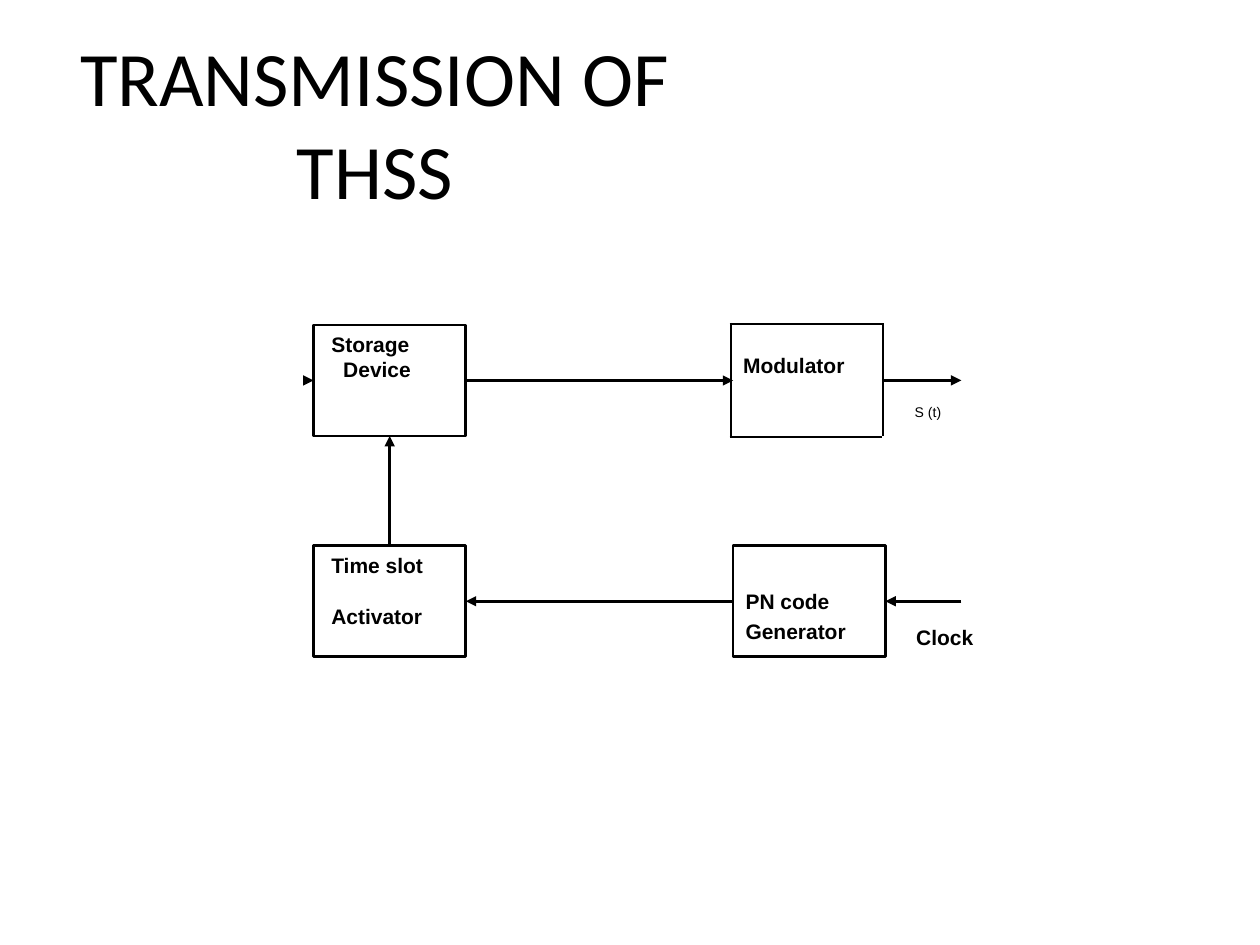
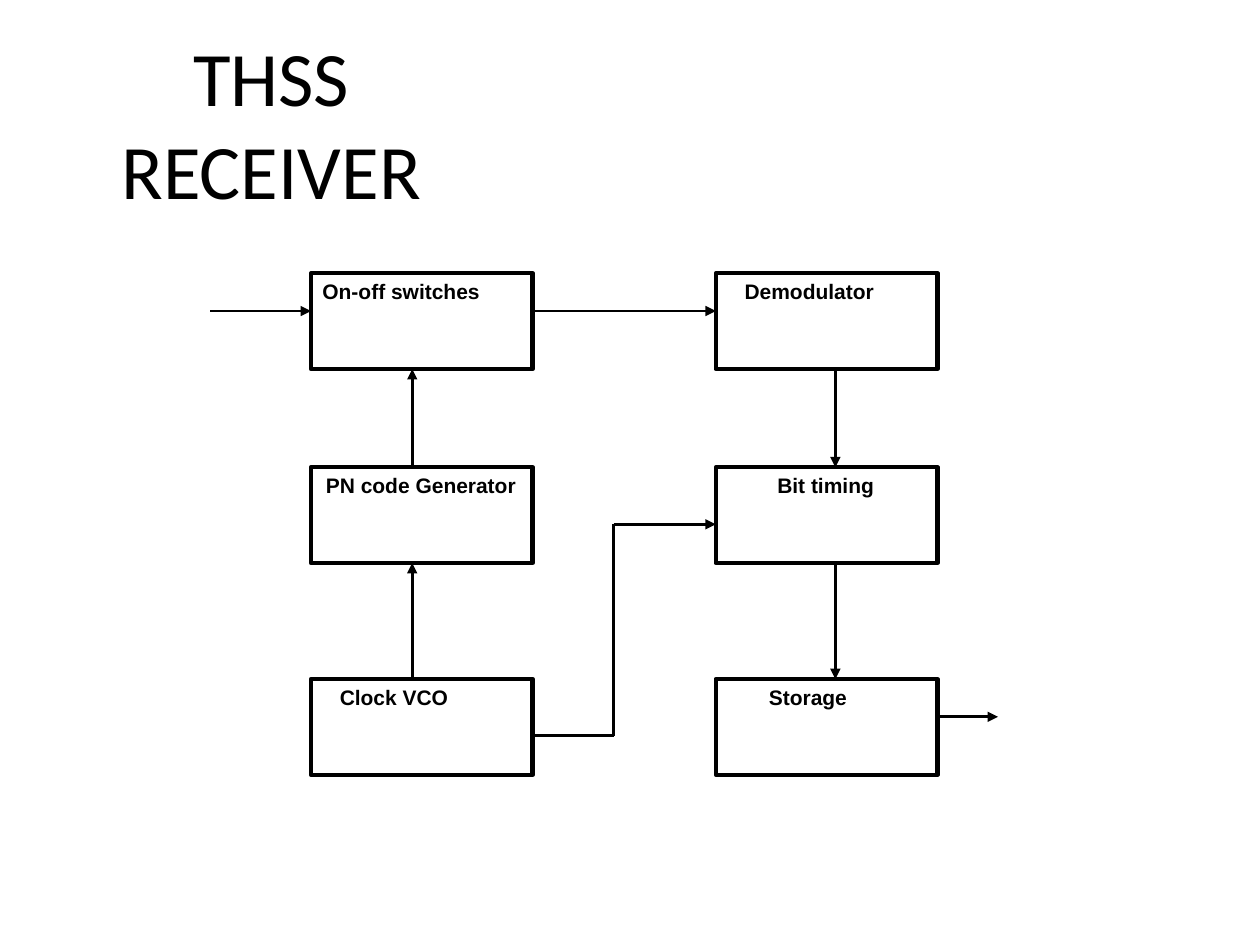
from lxml import etree
from pptx import Presentation
from pptx.dml.color import RGBColor
from pptx.enum.shapes import MSO_CONNECTOR, MSO_SHAPE
from pptx.enum.text import MSO_ANCHOR, PP_ALIGN
from pptx.oxml.ns import qn
from pptx.util import Cm, Pt

RECT, TRIANGLE = MSO_SHAPE.RECTANGLE, MSO_SHAPE.ISOSCELES_TRIANGLE
STRAIGHT = MSO_CONNECTOR.STRAIGHT
TOP, MIDDLE = MSO_ANCHOR.TOP, MSO_ANCHOR.MIDDLE
LEFT, CENTER = PP_ALIGN.LEFT, PP_ALIGN.CENTER

BLACK, WHITE = "000000", "FFFFFF"
LINE = 1.5
HEAD = 0.21
TITLE = {"name": "Calibri", "size": Pt(44), "bold": False}
LABEL = {"name": "Arial", "size": Pt(12), "bold": True}
SMALL = {"name": "Arial", "size": Pt(8), "bold": False}


def color(value):
    return RGBColor.from_string(value)


class Deck:
    """Holds the style and the current slide; lengths are in centimetres."""

    def __init__(self):
        self.prs = Presentation()
        self.prs.slide_width, self.prs.slide_height = Cm(25.4), Cm(19.05)
        self.s = None

    def slide(self, title, title_width):
        self.s = self.prs.slides.add_slide(self.prs.slide_layouts[6])
        self.text(title, 1.47, 1.73, title_width, 1.24, TITLE,
                  inset=0.23, align=CENTER, anchor=MIDDLE)

    def paragraphs(self, tf, text, style, indent=0, hang=0, align=LEFT, spacing=1, gap=0):
        for i, line in enumerate(text.split("\n")):
            p = tf.paragraphs[0] if i == 0 else tf.add_paragraph()
            p.alignment, p.line_spacing = align, spacing
            p.space_before = Pt(gap if i else 0)
            pPr = p._p.get_or_add_pPr()
            pPr.set("marL", str(Cm(indent)))
            pPr.set("indent", str(Cm(-hang)))
            r = p.add_run()
            r.text = line
            for key, value in style.items():
                setattr(r.font, key, value)
            r.font.color.rgb = color(BLACK)

    def fill_frame(self, sp, text, style, inset, anchor=TOP, **layout):
        tf = sp.text_frame
        frame = {"word_wrap": True, "vertical_anchor": anchor, "margin_left": 0,
                 "margin_right": 0, "margin_top": Cm(inset), "margin_bottom": 0}
        for key, value in frame.items():
            setattr(tf, key, value)
        self.paragraphs(tf, text, style, **layout)

    def text(self, text, x, y, w, h, style, inset=0.03, **layout):
        sp = self.s.shapes.add_textbox(Cm(x), Cm(y), Cm(w), Cm(h))
        self.fill_frame(sp, text, style, inset, **layout)

    def shape(self, kind, x, y, w, h, fill):
        sp = self.s.shapes.add_shape(kind, Cm(x), Cm(y), Cm(w), Cm(h))
        sp.shadow.inherit = False
        sp.fill.solid()
        sp.fill.fore_color.rgb = color(fill)
        return sp

    def block(self, text, x, y, w, h, line, inset, **layout):
        sp = self.shape(RECT, x, y, w, h, WHITE)
        sp.line.color.rgb, sp.line.width = color(BLACK), Pt(line)
        self.fill_frame(sp, text, LABEL, inset, **layout)

    def head(self, tip_x, y):
        """A loose arrowhead that points right."""
        sp = self.shape(TRIANGLE, tip_x - HEAD, y - HEAD / 2, HEAD, HEAD, BLACK)
        sp.line.fill.background()
        sp.rotation = 90

    def line(self, x1, y1, x2, y2, arrow=True):
        c = self.s.shapes.add_connector(STRAIGHT, Cm(x1), Cm(y1), Cm(x2), Cm(y2))
        c.line.color.rgb, c.line.width = color(BLACK), Pt(LINE)
        spPr = c._element.spPr
        if arrow:
            etree.SubElement(spPr.find(qn("a:ln")), qn("a:tailEnd"), type="triangle")
        etree.SubElement(spPr, qn("a:effectLst"))

    def table(self, x, y, cols, rows):
        frame = self.s.shapes.add_table(len(rows), len(cols), Cm(x), Cm(y),
                                        Cm(sum(cols)), Cm(sum(rows)))
        table = frame.table
        table.first_row = table.horz_banding = False
        for col, w in zip(table.columns, cols):
            col.width = Cm(w)
        for row, h in zip(table.rows, rows):
            row.height = Cm(h)
        return table

    def cell(self, cell, sides, fill=None, text=None, style=LABEL, inset=0, indent=0):
        tcPr = cell._tc.get_or_add_tcPr()
        for side in sides:
            ln = etree.SubElement(tcPr, qn("a:ln" + side), w=str(Pt(LINE)))
            solid = etree.SubElement(ln, qn("a:solidFill"))
            etree.SubElement(solid, qn("a:srgbClr"), val=BLACK)
        if fill:
            cell.fill.solid()
            cell.fill.fore_color.rgb = color(fill)
        else:
            cell.fill.background()
        if text:
            cell.margin_left = cell.margin_right = cell.margin_bottom = 0
            cell.margin_top = Cm(inset)
            self.paragraphs(cell.text_frame, text, style, indent=indent)


def transmitter(deck):
    deck.slide("TRANSMISSION OF THSS", 12.17)
    left, right, top, bottom = 6.32, 14.78, 6.55, 11
    w, h, end = 3.07, 2.24, 19.38
    top_mid, bottom_mid = top + h / 2, bottom + h / 2

    # Blocks
    size = {"w": w, "h": h, "line": LINE}
    deck.block("Storage Device", left, top, inset=0.13, indent=0.6, hang=0.24, **size)
    deck.block("PN code Generator", right, bottom, inset=0.76, indent=0.25,
               spacing=1.19, **size)
    deck.block("Time slot\nActivator", left, bottom, inset=0.13, indent=0.36,
               gap=14.8, **size)

    # Modulator and its output line
    table = deck.table(14.73, 6.53, [w, 1.35], [1.14, 1.14])
    deck.cell(table.cell(0, 0), "LRTB", WHITE, "Modulator", inset=0.62, indent=0.25)
    deck.cell(table.cell(1, 0), "LRB", WHITE)
    table.cell(0, 0).merge(table.cell(1, 0))
    deck.cell(table.cell(0, 1), "LB")
    deck.cell(table.cell(1, 1), "LT", text="S (t)", style=SMALL, inset=0.48, indent=0.64)

    # Signal path
    deck.head(left, top_mid)
    deck.head(end, top_mid)
    deck.line(left + w, top_mid, right, top_mid)
    deck.line(left + w / 2, bottom, left + w / 2, top + h)
    deck.line(right, bottom_mid, left + w, bottom_mid)
    deck.line(end, bottom_mid, right + w, bottom_mid)
    deck.text("Clock", 18.44, 12.57, 1.22, 0.58, LABEL, indent=0.03)


def receiver(deck):
    deck.slide("THSS RECEIVER", 8)
    left, right = 6.27, 14.43
    rows = [5.51, 9.42, 13.69]
    w, h = 4.47, 1.93

    # Blocks, one column after the other
    columns = {
        left: [("On-off switches", 0.23), ("PN code Generator", 0.3), ("Clock VCO", 0.58)],
        right: [("Demodulator", 0.58), ("Bit timing", 1.24), ("Storage", 1.07)],
    }
    for x, blocks in columns.items():
        for y, (name, indent) in zip(rows, blocks):
            deck.block(name, x, y, w, h, line=2.5, inset=0.1, indent=indent)

    # Signal in, across and out
    signal_y, out_y = 6.27, 14.45
    deck.line(4.24, signal_y, left, signal_y)
    deck.line(left + w, signal_y, right, signal_y)
    deck.line(right + w, out_y, 20.12, out_y)

    # Left column runs up, right column runs down
    for upper, lower in zip(rows, rows[1:]):
        deck.line(8.31, lower, 8.31, upper + h)
        deck.line(16.84, upper + h, 16.84, lower)

    # Clock to bit timing
    bend_x, clock_y, timing_y = 12.37, 14.83, 10.57
    deck.line(left + w, clock_y, bend_x, clock_y, arrow=False)
    deck.line(bend_x, clock_y, bend_x, timing_y, arrow=False)
    deck.line(bend_x, timing_y, right, timing_y)


def main():
    deck = Deck()
    transmitter(deck)
    receiver(deck)
    deck.prs.save("out.pptx")


if __name__ == "__main__":
    main()
